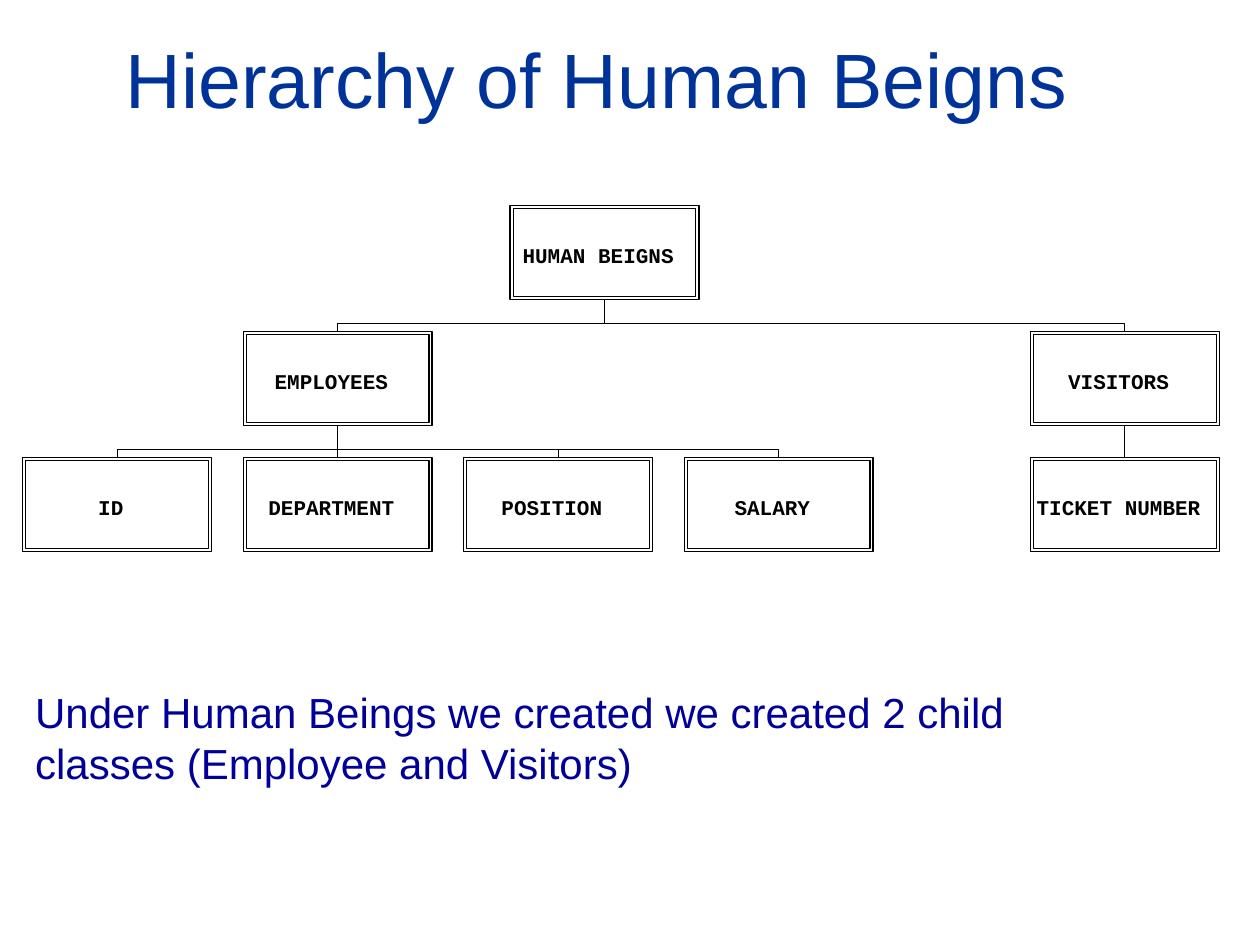
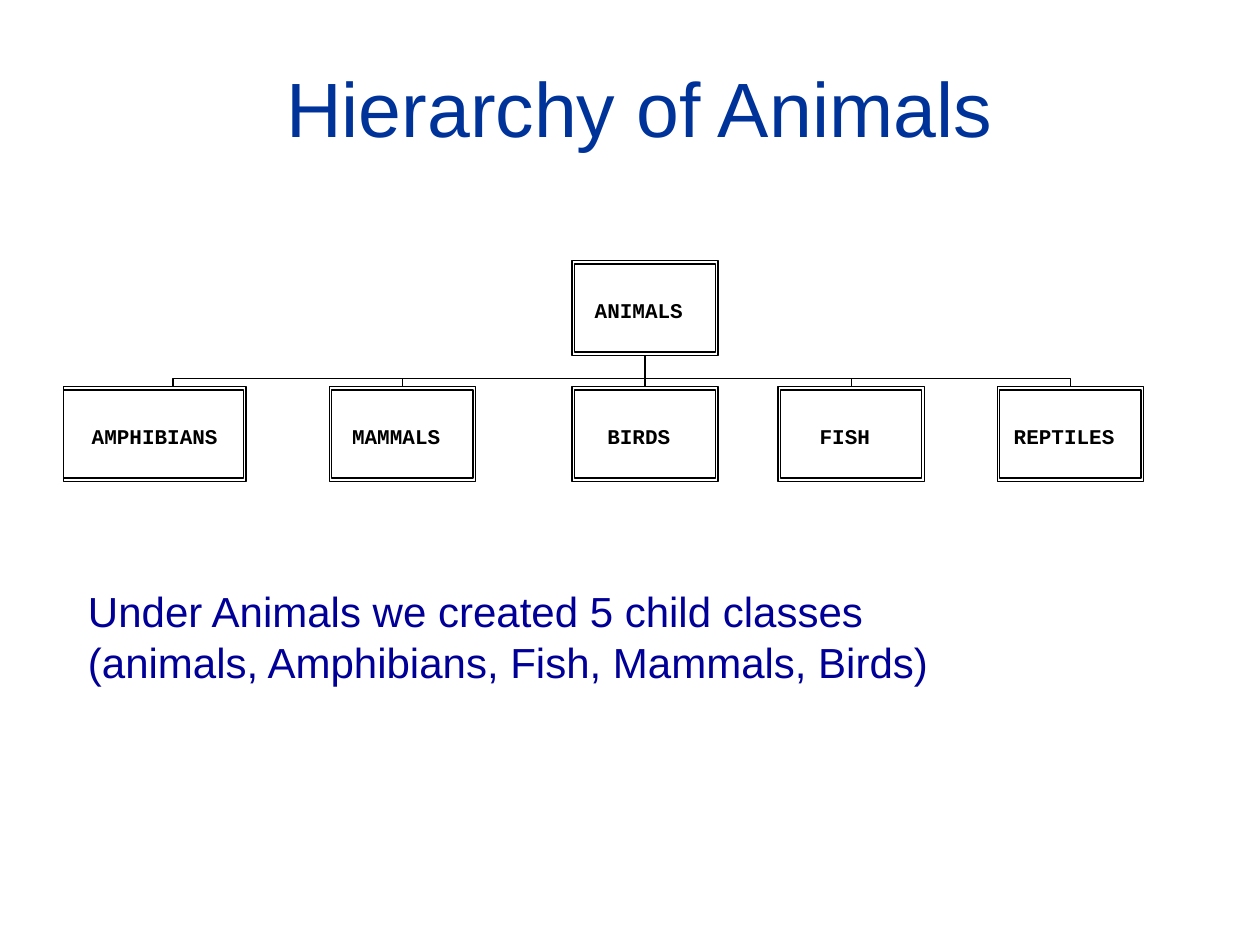
from dataclasses import dataclass
from typing import Optional

from lxml.etree import SubElement
from pptx import Presentation
from pptx.dml.color import RGBColor
from pptx.enum.shapes import MSO_CONNECTOR, MSO_SHAPE
from pptx.enum.text import MSO_ANCHOR, PP_ALIGN
from pptx.oxml.ns import qn
from pptx.util import Inches, Pt

WIDTH, HEIGHT = Inches(10), Inches(7.5)
TITLE_COLOUR, BODY_COLOUR, INK, PAPER = "003399", "000099", "000000", "FFFFFF"
LINE_WIDTH = Pt(0.71)
ROW_STEP, BOX_HEIGHT = 13.33, 10  # percent of the slide's height
TRUNK_SHARE = 0.75  # part of the gap above the branching line
BOTTOM, TOP = 2, 0  # connection sites


@dataclass
class Frame:
    """A text area in percent of the slide's width and height."""
    left: float
    top: float
    width: float
    height: float


@dataclass
class Grid:
    """Origin, column step and box width in percent of the slide."""
    left: float
    top: float
    column_step: float
    box_width: float


@dataclass
class Node:
    label: str
    column: float
    row: int
    parent: Optional[str] = None
    width_share: float = 1
    drop_share: float = 0.5  # where the branch meets the top side
    label_indent: float = 0  # percent of the slide's width


@dataclass
class Hierarchy:
    title: str
    title_frame: Frame
    title_align: PP_ALIGN
    grid: Grid
    nodes: list[Node]
    body: str
    body_frame: Frame


HIERARCHIES = [
    Hierarchy(
        "Hierarchy of Human Beigns", Frame(9, 2.67, 81, 11.2), PP_ALIGN.LEFT,
        Grid(1.8, 21.73, 17.5, 15),
        [
            Node("HUMAN BEIGNS", 2.21, 0),
            Node("EMPLOYEES", 1, 1, "HUMAN BEIGNS"),
            Node("VISITORS", 4.57, 1, "HUMAN BEIGNS"),
            Node("ID", 0, 2, "EMPLOYEES"),
            Node("DEPARTMENT", 1, 2, "EMPLOYEES"),
            Node("POSITION", 2, 2, "EMPLOYEES"),
            Node("SALARY", 3, 2, "EMPLOYEES"),
            Node("TICKET NUMBER", 4.57, 2, "VISITORS"),
        ],
        "Under Human Beings we created we created 2 child classes "
        "(Employee and Visitors)",
        Frame(1.8, 72, 81.2, 21.33),
    ),
    Hierarchy(
        "Hierarchy of Animals", Frame(4.3, 4, 92.9, 14.53), PP_ALIGN.CENTER,
        Grid(45.4, 27.6, 11.6, 11.6),
        [
            Node("ANIMALS", 0, 0),
            Node("AMPHIBIANS", -3.48, 1, "ANIMALS", 1.25, 0.6, 1),
            Node("MAMMALS", -1.66, 1, "ANIMALS"),
            Node("BIRDS", 0, 1, "ANIMALS"),
            Node("FISH", 1.41, 1, "ANIMALS"),
            Node("REPTILES", 2.91, 1, "ANIMALS"),
        ],
        "Under Animals we created 5 child classes "
        "(animals, Amphibians, Fish, Mammals, Birds)",
        Frame(6, 61.33, 76, 20),
    ),
]


def colour(value: str) -> RGBColor:
    return RGBColor.from_string(value)


def across(percent: float) -> int:
    return round(WIDTH * percent / 100)


def down(percent: float) -> int:
    return round(HEIGHT * percent / 100)


def write(shape, text: str, font: str, size: float, ink: str,
          align: PP_ALIGN, anchor: MSO_ANCHOR, bold: bool = False) -> None:
    text_frame = shape.text_frame
    text_frame.word_wrap = True
    text_frame.vertical_anchor = anchor
    text_frame.text = text
    para = text_frame.paragraphs[0]
    para.alignment = align
    span = para.runs[0]
    span.font.name, span.font.size, span.font.bold = font, Pt(size), bold
    span.font.color.rgb = colour(ink)


def add_text(page, frame: Frame, text: str, size: float, ink: str,
             align: PP_ALIGN, anchor: MSO_ANCHOR) -> None:
    box = page.shapes.add_textbox(across(frame.left), down(frame.top),
                                  across(frame.width), down(frame.height))
    write(box, text, "Arial", size, ink, align, anchor)


def outline(shape, fill: Optional[str] = None) -> None:
    shape.shadow.inherit = False
    shape.line.color.rgb = colour(INK)
    shape.line.width = LINE_WIDTH
    if fill:
        shape.fill.solid()
        shape.fill.fore_color.rgb = colour(fill)
    else:
        shape.fill.background()


def add_node(page, grid: Grid, node: Node):
    """Draw a double-ruled box with its label and return the outer box."""
    left = across(grid.left + node.column * grid.column_step)
    top = down(grid.top + node.row * ROW_STEP)
    width, height = across(grid.box_width * node.width_share), down(BOX_HEIGHT)
    box = page.shapes.add_shape(MSO_SHAPE.RECTANGLE, left, top, width, height)
    outline(box, PAPER)

    # Inner rule; an indented box shares its left side with it
    right_gap, rule_gap = across(grid.box_width) // 60, height // 30
    left_gap = 0 if node.label_indent else right_gap
    rule = page.shapes.add_shape(
        MSO_SHAPE.RECTANGLE, left + left_gap, top + rule_gap,
        width - left_gap - right_gap, height - 2 * rule_gap)
    outline(rule)

    # Label, with the closing space that sets it slightly left of centre
    text_frame = box.text_frame
    text_frame.margin_left = across(node.label_indent)
    text_frame.margin_right = text_frame.margin_top = text_frame.margin_bottom = 0
    write(box, node.label + " ", "Courier New", 12, INK,
          PP_ALIGN.CENTER, MSO_ANCHOR.MIDDLE, bold=True)
    text_frame.paragraphs[0].line_spacing = 1.2
    return box


def add_branch(page, parent, child, drop_share: float) -> None:
    start_x, start_y = parent.left + parent.width // 2, parent.top + parent.height
    end_x, end_y = child.left + round(child.width * drop_share), child.top
    if parent.left == child.left:
        line = page.shapes.add_connector(MSO_CONNECTOR.STRAIGHT,
                                         start_x, start_y, end_x, end_y)
        line.begin_connect(parent, BOTTOM)
        line.end_connect(child, TOP)
        line.line.color.rgb = colour(INK)
        line.line.width = LINE_WIDTH
        SubElement(line.element.spPr, qn("a:effectLst"))
        return
    bend_y = start_y + round((end_y - start_y) * TRUNK_SHARE)
    builder = page.shapes.build_freeform(start_x, start_y)
    builder.add_line_segments(
        [(start_x, bend_y), (end_x, bend_y), (end_x, end_y)], close=False)
    outline(builder.convert_to_shape())


def add_hierarchy(deck, hierarchy: Hierarchy) -> None:
    page = deck.slides.add_slide(deck.slide_layouts[6])
    add_text(page, hierarchy.title_frame, hierarchy.title, 44, TITLE_COLOUR,
             hierarchy.title_align, MSO_ANCHOR.MIDDLE)
    boxes = {}
    for node in hierarchy.nodes:
        boxes[node.label] = add_node(page, hierarchy.grid, node)
        if node.parent:
            add_branch(page, boxes[node.parent], boxes[node.label],
                       node.drop_share)
    add_text(page, hierarchy.body_frame, hierarchy.body, 24, BODY_COLOUR,
             PP_ALIGN.LEFT, MSO_ANCHOR.TOP)


def main() -> None:
    deck = Presentation()
    deck.slide_width, deck.slide_height = WIDTH, HEIGHT
    for hierarchy in HIERARCHIES:
        add_hierarchy(deck, hierarchy)
    deck.save("out.pptx")


if __name__ == "__main__":
    main()
